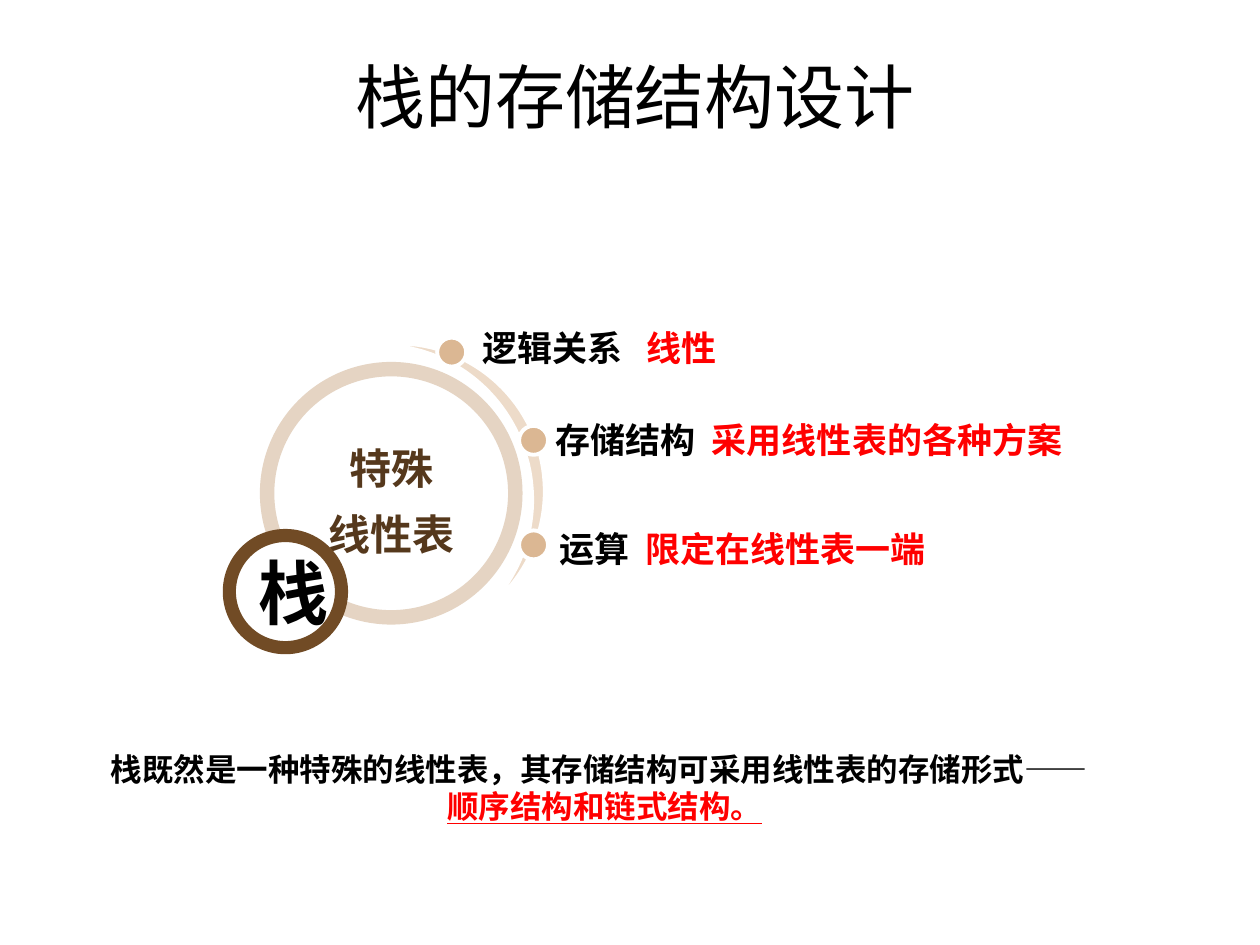
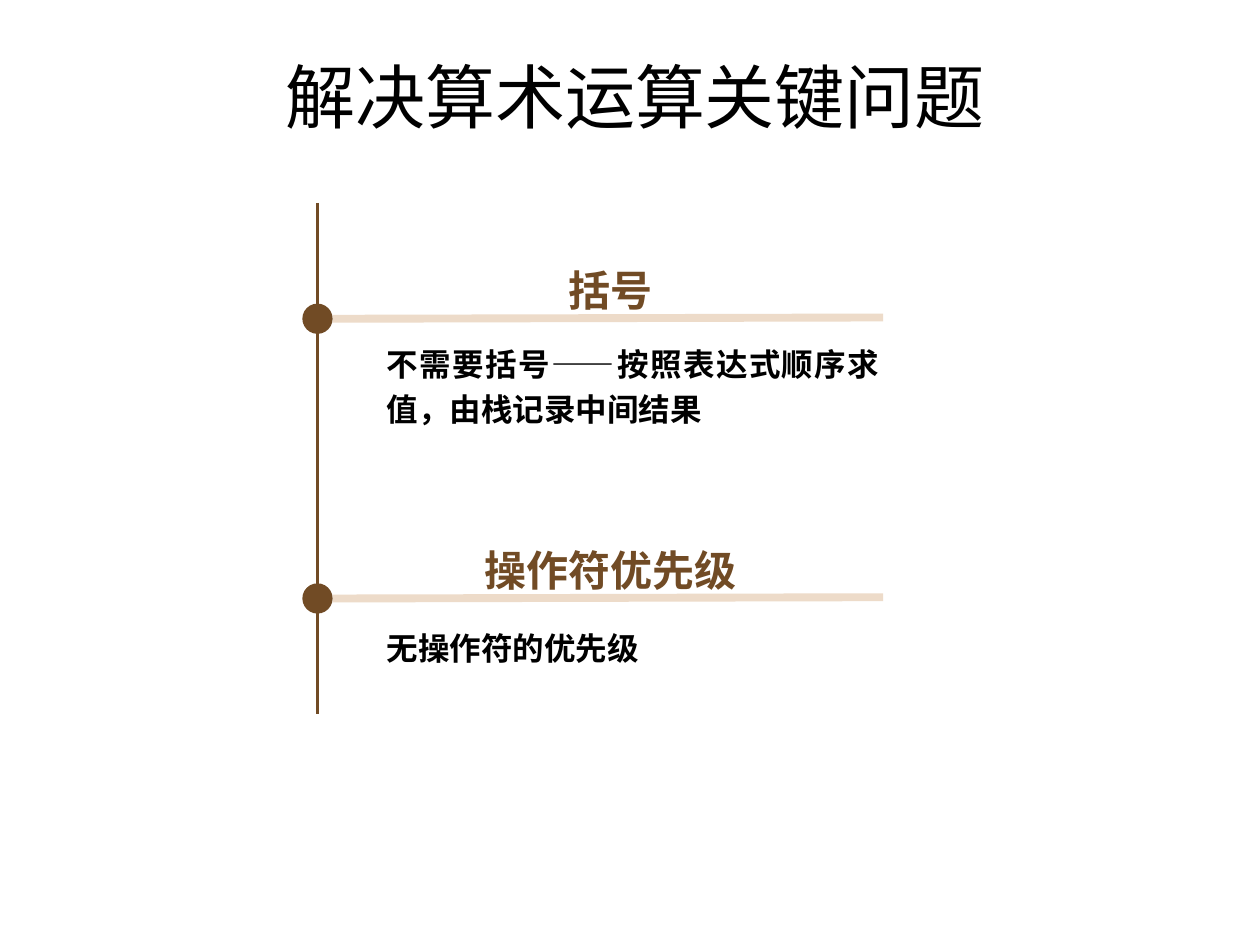
from math import cos, pi, radians, sin

from lxml import etree
from pptx import Presentation
from pptx.dml.color import RGBColor
from pptx.enum.shapes import MSO_CONNECTOR, MSO_SHAPE
from pptx.enum.text import MSO_ANCHOR, PP_ALIGN
from pptx.oxml.ns import qn
from pptx.util import Inches, Pt

COLORS = {
    "black": "000000",
    "white": "FFFFFF",
    "red": "FF0000",
    "brown": "714B25",
    "dark brown": "55381C",
    "tan": "DBB793",
    "ring": "E5D4C3",
    "band": "EDDBC9",
}
COLORS = {name: RGBColor.from_string(value) for name, value in COLORS.items()}
MONO, SANS = "Courier New", "Noto Sans CJK SC"

deck = Presentation()
deck.slide_width, deck.slide_height = Inches(10), Inches(7.5)
# The grid has 100 columns and 75 rows, so its cells are square.
COLUMN, ROW = deck.slide_width / 100, deck.slide_height / 75


def write(frame, lines, size, color="black", font=MONO, bold=True,
          align=PP_ALIGN.LEFT, spacing=1.0, inset=None, anchor=MSO_ANCHOR.TOP):
    """Fill a text frame; each line is a list of (text, colour or None) pairs."""
    frame.word_wrap = True
    frame.vertical_anchor = anchor
    if inset is not None:
        frame.margin_left = frame.margin_right = inset
        frame.margin_top = frame.margin_bottom = inset
    for number, line in enumerate(lines):
        para = frame.add_paragraph() if number else frame.paragraphs[0]
        para.alignment, para.line_spacing = align, spacing
        for text, span_color in line:
            span = para.add_run()
            span.text = text
            span.font.name, span.font.size, span.font.bold = font, Pt(size), bold
            span.font.color.rgb = COLORS[span_color or color]


def draw(page, kind, left, top, width, height, fill, line=None, weight=0):
    """Add a preset shape, placed in grid cells, without a shadow."""
    shape = page.shapes.add_shape(kind, int(left * COLUMN), int(top * ROW),
                                  int(width * COLUMN), int(height * ROW))
    shape.shadow.inherit = False
    shape.fill.solid()
    shape.fill.fore_color.rgb = COLORS[fill]
    if line:
        shape.line.color.rgb = COLORS[line]
        shape.line.width = Pt(weight)
    else:
        shape.line.fill.background()
    return shape


pages = []
for heading in ("栈的存储结构设计", "解决算术运算关键问题"):
    page = deck.slides.add_slide(deck.slide_layouts[6])
    title = page.shapes.add_textbox(int(2.7 * COLUMN), int(3.7 * ROW),
                                    int(95.4 * COLUMN), int(7.7 * ROW))
    write(title.text_frame, [[(heading, None)]], 40, bold=False,
          align=PP_ALIGN.CENTER, anchor=MSO_ANCHOR.MIDDLE)
    pages.append(page)
storage_page, problem_page = pages

# Storage page: two rings, a crescent and three dots with their labels
list_ring = draw(storage_page, MSO_SHAPE.ROUNDED_RECTANGLE, 21.2, 29.3, 19.7, 19.7,
                 "white", "ring", 8.25)
list_ring.adjustments[0] = 0.5
write(list_ring.text_frame, [[("特殊", None)], [("线性表", None)]], 24, "dark brown",
      align=PP_ALIGN.CENTER, spacing=1.3, inset=0, anchor=MSO_ANCHOR.MIDDLE)

center_x, center_y, radius, thickness = 31.5, 39, 11.8, 1.25
start_angle, end_angle, steps = -104, 59, 60
outer_edge, inner_edge = [], []
for step in range(steps + 1):
    share = step / steps
    angle = radians(start_angle + (end_angle - start_angle) * share)
    for edge, reach in ((outer_edge, radius),
                        (inner_edge, radius - thickness * sin(pi * share))):
        edge.append((int((center_x + reach * cos(angle)) * COLUMN),
                     int((center_y + reach * sin(angle)) * ROW)))
outline = outer_edge + inner_edge[-2:0:-1]
builder = storage_page.shapes.build_freeform(*outline[0])
builder.add_line_segments(outline[1:], close=True)
crescent = builder.convert_to_shape()
crescent.shadow.inherit = False
crescent.fill.solid()
crescent.fill.fore_color.rgb = COLORS["band"]
crescent.line.color.rgb = COLORS["white"]
crescent.line.width = Pt(3)

features = [  # dot left, dot top, label left, label top, label width, tab, texts
    (34.7, 26.8, 38.3, 24.2, 29.6, 13.0, "逻辑关系", "线性"),
    (41.2, 33.8, 44.1, 31.5, 49.0, 12.4, "存储结构", "采用线性表的各种方案"),
    (41.2, 42.1, 44.4, 40.2, 34.9, 6.8, "运算", "限定在线性表一端"),
]
for dot_left, dot_top, left, top, width, tab, name, answer in features:
    draw(storage_page, MSO_SHAPE.OVAL, dot_left, dot_top, 2.3, 2.3, "tan", "white", 2.25)
    label = storage_page.shapes.add_textbox(int(left * COLUMN), int(top * ROW),
                                            int(width * COLUMN), int(5.7 * ROW))
    write(label.text_frame, [[(name + "\t", None), (answer, "red")]], 20,
          spacing=1.3, inset=0, anchor=MSO_ANCHOR.MIDDLE)
    properties = label.text_frame.paragraphs[0]._p.get_or_add_pPr()
    tabs = etree.SubElement(properties, qn("a:tabLst"))
    etree.SubElement(tabs, qn("a:tab"), pos=str(int(tab * COLUMN)), algn="l")

stack_ring = draw(storage_page, MSO_SHAPE.ROUNDED_RECTANGLE, 18.2, 42.5, 8.9, 8.9,
                  "white", "brown", 7.5)
stack_ring.adjustments[0] = 0.5
write(stack_ring.text_frame, [[("栈", None)]], 40, font=SANS,
      align=PP_ALIGN.CENTER, anchor=MSO_ANCHOR.MIDDLE)

summary = storage_page.shapes.add_textbox(int(7.8 * COLUMN), int(59 * ROW),
                                          int(85.3 * COLUMN), int(7.1 * ROW))
write(summary.text_frame,
      [[("栈既然是一种特殊的线性表，其存储结构可采用线性表的存储形式——", None)],
       [("顺序结构和链式结构。", "red")]], 18, font=SANS)
conclusion = summary.text_frame.paragraphs[1]
conclusion._p.get_or_add_pPr().set("marL", str(int(26.7 * COLUMN)))
conclusion.runs[0].font.underline = True

# Problem page: a vertical axis with one dot, bar, heading and answer per problem
axis_x, bar_end, dot_size, text_left = 25.2, 70.1, 2.4, 29.7
problems = [  # dot centre, answer top, heading, answer
    (25.3, 26.3, "括号", "不需要括号——按照表达式顺序求值，由栈记录中间结果"),
    (47.5, 48.8, "操作符优先级", "无操作符的优先级"),
]
lines = [(axis_x, 16.1, axis_x, 56.7, "brown", 1.5)]
lines += [(axis_x + dot_size / 2, middle, bar_end, middle - 0.1, "band", 4.5)
          for middle, *_ in problems]
for x1, y1, x2, y2, color, weight in lines:
    line = problem_page.shapes.add_connector(
        MSO_CONNECTOR.STRAIGHT, int(x1 * COLUMN), int(y1 * ROW),
        int(x2 * COLUMN), int(y2 * ROW))
    line.line.color.rgb = COLORS[color]
    line.line.width = Pt(weight)
    etree.SubElement(line._element.spPr, qn("a:effectLst"))

for middle, answer_top, heading, answer in problems:
    draw(problem_page, MSO_SHAPE.OVAL, axis_x - dot_size / 2, middle - dot_size / 2,
         dot_size, dot_size, "brown")
    heading_box = problem_page.shapes.add_textbox(
        int(text_left * COLUMN), int((middle - 4.8) * ROW),
        int(37.5 * COLUMN), int(5.1 * ROW))
    write(heading_box.text_frame, [[(heading, None)]], 24, "brown",
          align=PP_ALIGN.CENTER)
    answer_box = problem_page.shapes.add_textbox(
        int(text_left * COLUMN), int(answer_top * ROW),
        int(41.1 * COLUMN), int(4.6 * ROW))
    write(answer_box.text_frame, [[(answer, None)]], 18,
          align=PP_ALIGN.JUSTIFY, spacing=1.2)

deck.save("out.pptx")
